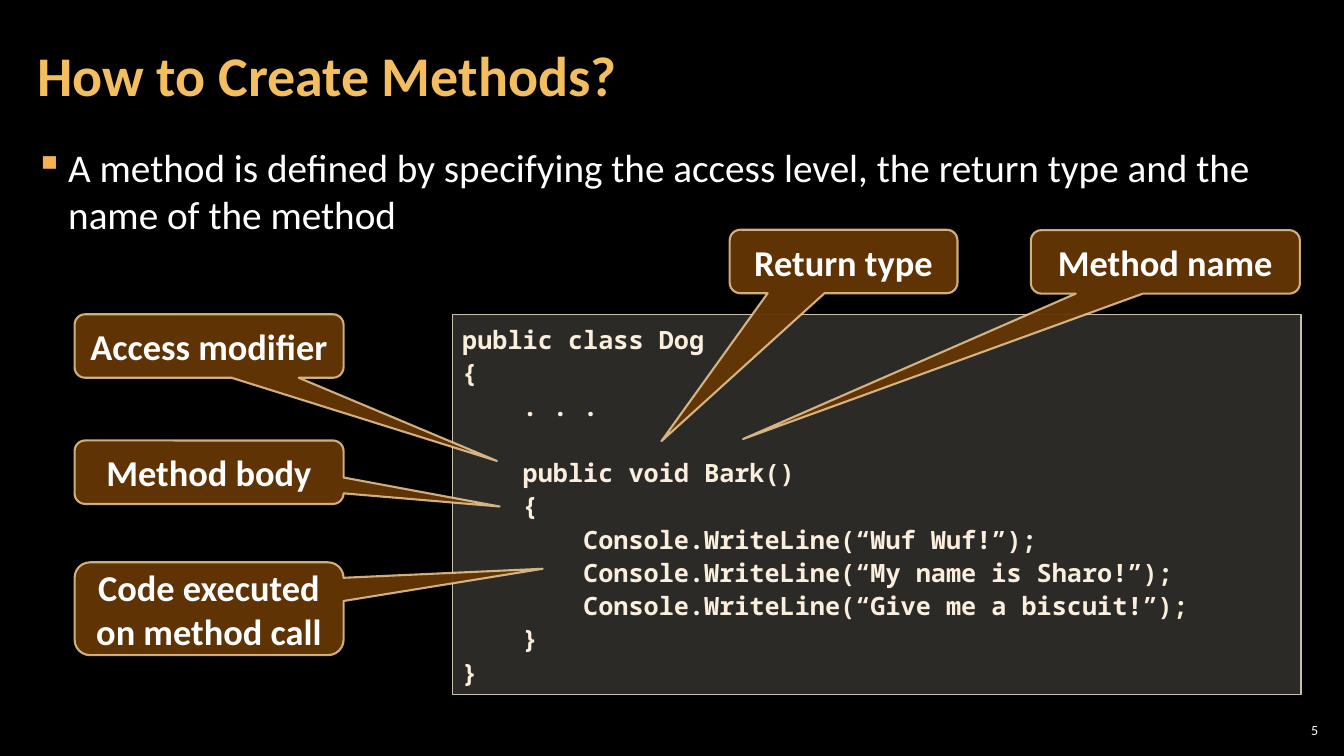
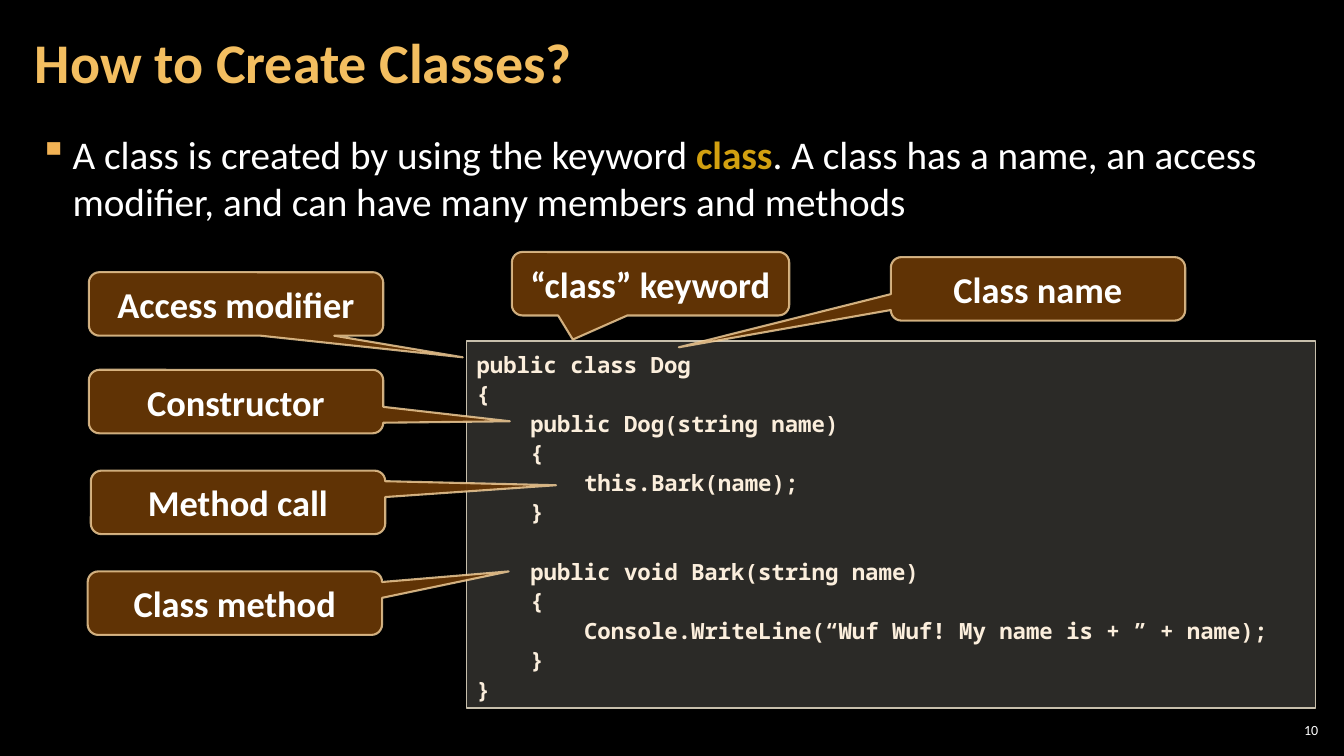
from dataclasses import dataclass

from lxml import etree
from pptx import Presentation
from pptx.dml.color import RGBColor
from pptx.enum.shapes import MSO_SHAPE
from pptx.enum.text import MSO_ANCHOR, MSO_AUTO_SIZE, PP_ALIGN
from pptx.oxml.ns import qn
from pptx.util import Cm, Pt

RECT = MSO_SHAPE.RECTANGLE
CALLOUT = MSO_SHAPE.ROUNDED_RECTANGULAR_CALLOUT
TOP, MIDDLE = MSO_ANCHOR.TOP, MSO_ANCHOR.MIDDLE
LEFT, CENTER, RIGHT = PP_ALIGN.LEFT, PP_ALIGN.CENTER, PP_ALIGN.RIGHT
FIXED = MSO_AUTO_SIZE.NONE


@dataclass(frozen=True)
class Theme:
    """Colours, fonts and type sizes of the deck."""
    back: str = "000000"
    white: str = "FFFFFF"
    title: str = "F3BE60"
    bullet: str = "F2B254"
    key: str = "D2A010"
    panel: str = "D9D5C7"
    edge: str = "C7BFAC"
    code: str = "FBEEDC"
    label: str = "663606"
    rim: str = "F8D49E"
    sans: str = "Calibri"
    mono: str = "Noto Sans Mono"
    head_size: int = 40
    body_size: int = 28
    label_size: int = 26
    foot_size: int = 10
    pitch: float = 1.32
    advance: float = 0.6
    tab: int = 4


THEME = Theme()


def add_run(para, text, size, color, bold=False, font=THEME.sans):
    """Add one formatted run to a paragraph."""
    run = para.add_run()
    run.text = text
    run.font.name = font
    run.font.size = Pt(size)
    run.font.bold = bold
    run.font.color.rgb = RGBColor.from_string(color)


def set_frame(shape, anchor, pad_x=0.25, pad_y=0.13):
    """Set wrapping, anchor and insets, and return the text frame."""
    frame = shape.text_frame
    frame.word_wrap = True
    frame.auto_size = FIXED
    frame.vertical_anchor = anchor
    frame.margin_left = frame.margin_right = Cm(pad_x)
    frame.margin_top = frame.margin_bottom = Cm(pad_y)
    return frame


def set_alpha(paint, percent):
    """Make the solid colour of a fill or line partly clear."""
    color = next(paint.iter(qn("a:srgbClr")))
    etree.SubElement(color, qn("a:alpha"), val=str(percent * 1000))


def add_panel(slide, kind, box, fill, alpha, edge, width):
    """Draw a filled, outlined shape in the given box."""
    shape = slide.shapes.add_shape(kind, *map(Cm, box))
    shape.shadow.inherit = False
    shape.fill.solid()
    shape.fill.fore_color.rgb = RGBColor.from_string(fill)
    set_alpha(shape.fill._xPr.find(qn("a:solidFill")), alpha)
    shape.line.color.rgb = RGBColor.from_string(edge)
    shape.line.width = Pt(width)
    return shape


def add_title(slide, text, box):
    """Place and format the title placeholder."""
    title = slide.shapes.title
    title.left, title.top, title.width, title.height = map(Cm, box)
    para = set_frame(title, MIDDLE, 0.3, 0.1).paragraphs[0]
    para.alignment = LEFT
    para.line_spacing = 0.9
    add_run(para, text, THEME.head_size, THEME.title, True)


def add_body(slide, parts, box):
    """Write one bulleted paragraph from (text, is key) parts."""
    shape = slide.shapes.add_textbox(*map(Cm, box))
    para = set_frame(shape, TOP, 0.3, 0.1).paragraphs[0]
    para.space_before = para.space_after = Pt(6)
    props = para._p.get_or_add_pPr()
    props.set("marL", str(Cm(0.84)))
    props.set("indent", str(-Cm(0.84)))
    color = etree.SubElement(props, qn("a:buClr"))
    etree.SubElement(color, qn("a:srgbClr"), val=THEME.bullet)
    etree.SubElement(props, qn("a:buChar"), char="▪")
    for text, key in parts:
        add_run(para, text, THEME.body_size,
                THEME.key if key else THEME.white, key)


def add_code(slide, lines, size, box):
    """Draw a code panel from (level, text, gap lines) rows."""
    shape = add_panel(slide, RECT, box, THEME.panel, 20, THEME.edge, 1)
    frame = set_frame(shape, TOP, pad_y=0.18)
    step = Pt(size * THEME.advance * THEME.tab)
    pitch = size * THEME.pitch
    for row, (level, text, gap) in enumerate(lines):
        para = frame.add_paragraph() if row else frame.paragraphs[0]
        para.alignment = LEFT
        para.line_spacing = Pt(pitch)
        para.space_before = Pt(pitch * gap)
        para._p.get_or_add_pPr().set("marL", str(step * level))
        add_run(para, text, size, THEME.code, True, THEME.mono)


def add_label(slide, text, box, tip):
    """Draw a callout whose tail ends at tip, in shares of the box."""
    shape = add_panel(slide, CALLOUT, box, THEME.label, 95, THEME.rim, 1.5)
    set_alpha(shape.line._ln, 80)
    shape.adjustments[0], shape.adjustments[1] = tip
    para = set_frame(shape, MIDDLE).paragraphs[0]
    para.alignment = CENTER
    add_run(para, text, THEME.label_size, THEME.white, True)


def add_number(slide, text):
    """Write the slide number in the lower right corner."""
    box = slide.shapes.add_textbox(Cm(32.13), Cm(18.14), Cm(1.19), Cm(0.53))
    para = set_frame(box, MIDDLE, 0.1, 0.1).paragraphs[0]
    para.alignment = RIGHT
    add_run(para, text, THEME.foot_size, THEME.white)


def add_lesson(deck, title, body, code, labels, number):
    """Build a slide with a point, a code panel and callouts."""
    slide = deck.slides.add_slide(deck.slide_layouts[5])
    add_title(slide, *title)
    add_code(slide, *code)
    add_body(slide, *body)
    for label in labels:
        add_label(slide, *label)
    add_number(slide, number)


METHODS = dict(
    title=("How to Create Methods?", (0.64, 0.43, 26.6, 3.07)),
    body=([("A method is defined by specifying the access level, "
            "the return type and the name of the method", False)],
          (0.58, 3.51, 32.49, 3.48)),
    code=([
        (0, "public class Dog", 0),
        (0, "{", 0),
        (1, ". . .", 0),
        (1, "public void Bark()", 1),
        (1, "{", 0),
        (2, "Console.WriteLine(“Wuf Wuf!”);", 0),
        (2, "Console.WriteLine(“My name is Sharo!”);", 0),
        (2, "Console.WriteLine(“Give me a biscuit!”);", 0),
        (1, "}", 0),
        (0, "}", 0),
    ], 18, (11.4, 7.92, 21.39, 9.58)),
    labels=[
        ("Access modifier", (1.88, 7.92, 6.78, 1.6), (1.07, 1.81)),
        ("Return type", (18.39, 5.79, 5.74, 1.6), (-0.8, 2.83)),
        ("Method name", (25.98, 5.8, 6.78, 1.6), (-1.57, 2.79)),
        ("Method body", (1.88, 11.1, 6.78, 1.6), (1.08, 0.54)),
        ("Code executed on method call", (1.88, 14.17, 6.78, 2.34),
         (1.24, -0.43)),
    ],
    number="5",
)

CLASSES = dict(
    title=("How to Create Classes?", (0.58, 0.1, 26.6, 3.07)),
    body=([("A class is created by using the keyword ", False),
           ("class", True),
           (". A class has a name, an access modifier, "
            "and can have many members and methods", False)],
          (0.69, 3.18, 32.49, 2.84)),
    code=([
        (0, "public class Dog", 0),
        (0, "{", 0),
        (1, "public Dog(string name)", 0),
        (1, "{", 0),
        (2, "this.Bark(name);", 0),
        (1, "}", 0),
        (1, "public void Bark(string name)", 1),
        (1, "{", 0),
        (2, "Console.WriteLine(“Wuf Wuf! My name is + ” + name);", 0),
        (1, "}", 0),
        (0, "}", 0),
    ], 16, (11.76, 8.59, 21.39, 9.25)),
    labels=[
        ("Access modifier", (2.24, 6.86, 7.42, 1.6), (0.77, 0.84)),
        ("“class” keyword", (12.9, 6.35, 6.99, 1.6), (-0.28, 0.88)),
        ("Class name", (22.45, 6.48, 7.42, 1.6), (-1.22, 0.92)),
        ("Constructor", (2.24, 9.32, 7.42, 1.6), (0.93, 0.31)),
        ("Method call", (2.29, 11.86, 7.42, 1.6), (1.08, -0.27)),
        ("Class method", (2.21, 14.4, 7.42, 1.6), (0.93, -0.5)),
    ],
    number="10",
)


def main():
    """Build and save the deck."""
    deck = Presentation()
    deck.slide_width, deck.slide_height = Cm(33.87), Cm(19.05)
    fill = deck.slide_master.background.fill
    fill.solid()
    fill.fore_color.rgb = RGBColor.from_string(THEME.back)
    for lesson in (METHODS, CLASSES):
        add_lesson(deck, **lesson)
    deck.save("out.pptx")


if __name__ == "__main__":
    main()
